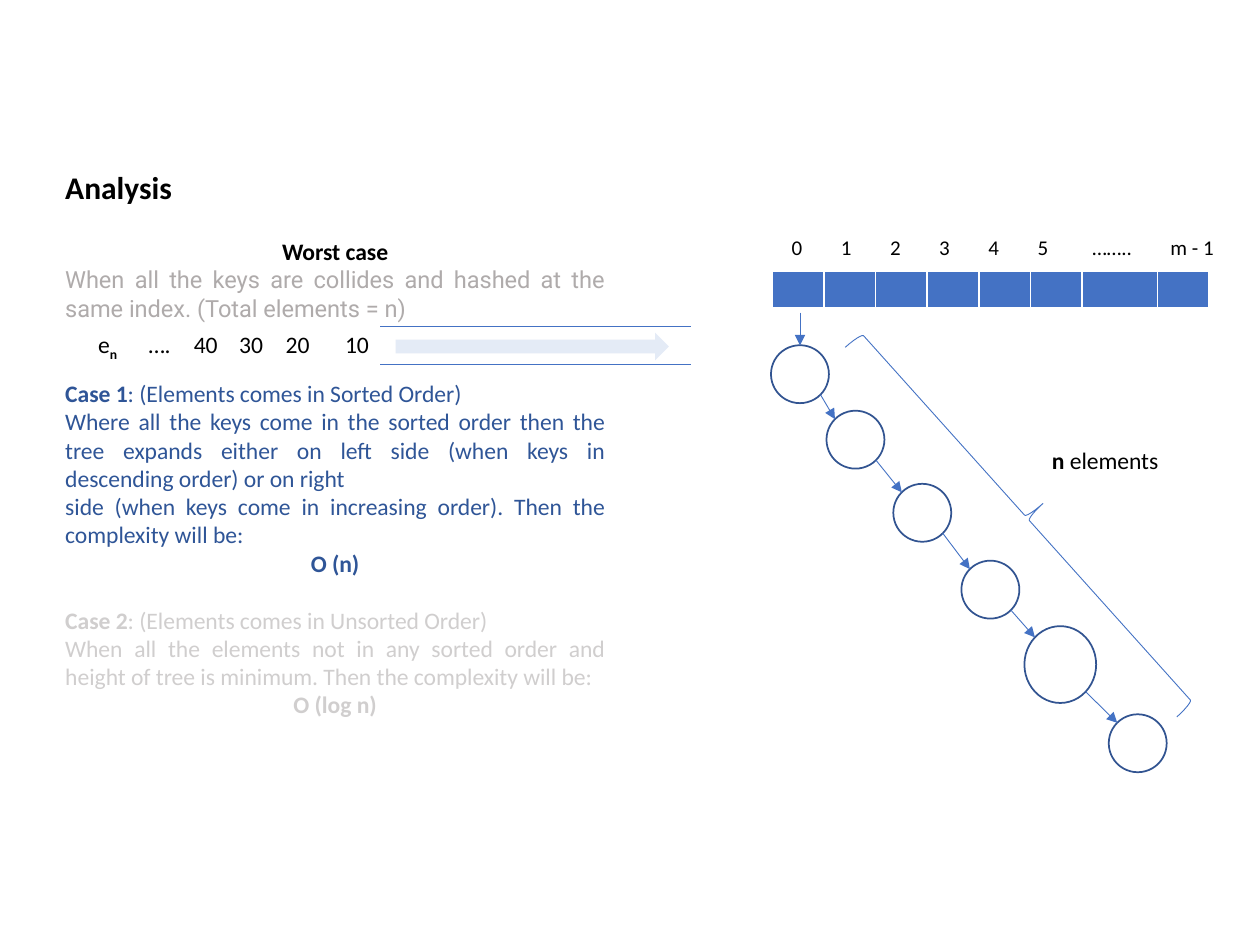
from dataclasses import dataclass
from math import sqrt
from typing import NamedTuple

from lxml import etree
from pptx import Presentation
from pptx.dml import color
from pptx.enum import shapes, text
from pptx.oxml import ns
from pptx.util import Pt

BLUE, OUTLINE, WHITE, BLACK = "4472C4", "325491", "FFFFFF", "000000"
CASE_BLUE, FADED, GREY = "2F5597", "D0CECE", "AFABAB"
LEFT, CENTER, JUSTIFY = text.PP_ALIGN.LEFT, text.PP_ALIGN.CENTER, text.PP_ALIGN.JUSTIFY


class Span(NamedTuple):
    words: str
    bold: bool = False
    baseline: int = 0


@dataclass
class Para:
    spans: list[Span]
    align: text.PP_ALIGN = LEFT
    ink: str = BLACK
    size: float = 13.5
    font: str = "Calibri"
    before: float = 0


@dataclass
class Node:
    left: float
    top: float
    width: float = 33.1
    height: float = 33.1

    def diagonal(self, sign: int) -> tuple[float, float]:
        reach = (1 + sign / sqrt(2)) / 2
        return self.left + self.width * reach, self.top + self.height * reach


def rgb(code: str) -> color.RGBColor:
    return color.RGBColor.from_string(code)


def child(parent, tag: str, **attributes: str):
    return etree.SubElement(parent, ns.qn(tag), attributes)


def write(frame, paras: list[Para]) -> None:
    for index, item in enumerate(paras):
        para = frame.paragraphs[0] if index == 0 else frame.add_paragraph()
        para.alignment = item.align
        if item.before:
            para.space_before = Pt(item.before)
        for span in item.spans:
            run = para.add_run()
            run.text = span.words
            run.font.name, run.font.size = item.font, Pt(item.size)
            run.font.bold = span.bold
            run.font.color.rgb = rgb(item.ink)
            if span.baseline:
                run._r.get_or_add_rPr().set("baseline", str(span.baseline))


def add_text(page, left: float, top: float, width: float, height: float,
             paras: list[Para], wrap: bool = False) -> None:
    box = page.shapes.add_textbox(Pt(left), Pt(top), Pt(width), Pt(height))
    box.text_frame.word_wrap = wrap
    write(box.text_frame, paras)


def add_line(page, start: tuple[float, float], end: tuple[float, float], arrow: bool = False):
    line = page.shapes.add_connector(
        shapes.MSO_CONNECTOR.STRAIGHT, *(Pt(value) for value in (*start, *end)))
    line.line.color.rgb, line.line.width = rgb(BLUE), Pt(0.5)
    if arrow:
        child(line.line._get_or_add_ln(), "a:tailEnd", type="triangle")
    child(line._element.spPr, "a:effectLst")
    return line


def add_shape(page, kind: shapes.MSO_SHAPE, left: float, top: float, width: float, height: float,
              fill: str | None = None, stroke: str | None = None, weight: float = 1):
    shape = page.shapes.add_shape(kind, Pt(left), Pt(top), Pt(width), Pt(height))
    shape.shadow.inherit = False
    if fill:
        shape.fill.solid()
        shape.fill.fore_color.rgb = rgb(fill)
    else:
        shape.fill.background()
    if stroke:
        shape.line.color.rgb, shape.line.width = rgb(stroke), Pt(weight)
    else:
        shape.line.fill.background()
    return shape


def add_border(cell, side: str, width: float) -> None:
    line = child(cell._tc.get_or_add_tcPr(), f"a:ln{side}", w=str(Pt(width)))
    child(child(line, "a:solidFill"), "a:srgbClr", val=WHITE)


def add_row(page, top: float, widths: list[float], labels: list[str], fill: str | None) -> None:
    frame = page.shapes.add_table(1, len(widths), Pt(441.4), Pt(top), Pt(sum(widths)), Pt(22))
    table = frame.table
    table.first_row = table.horz_banding = False
    for index, (width, label) in enumerate(zip(widths, labels)):
        table.columns[index].width = Pt(width)
        cell = table.cell(0, index)
        cell.margin_left = cell.margin_right = Pt(5 if label else 0)
        cell.margin_top = cell.margin_bottom = Pt(2.7 if label else 0)
        for side, weight in zip("LRTB", (1, 1, 1, 3)):
            add_border(cell, side, weight)
        if fill:
            cell.fill.solid()
            cell.fill.fore_color.rgb = rgb(fill)
        else:
            cell.fill.background()
        if label:
            write(cell.text_frame, [Para([Span(label)], CENTER, size=12)])


def add_chain(page) -> None:
    nodes = [Node(440.6, 197.3), Node(472.3, 234.7), Node(510.5, 276.5), Node(549.4, 320.4),
             Node(585.4, 357.8, 41, 43.9), Node(633.6, 408.2)]
    circles = [add_shape(page, shapes.MSO_SHAPE.OVAL, node.left, node.top, node.width,
                         node.height, WHITE, OUTLINE) for node in nodes]
    entry = add_line(page, (457.15, 178.6), (457.15, 197.3), arrow=True)
    entry.end_connect(circles[0], 0)
    for parent, successor in zip(nodes, nodes[1:]):
        add_line(page, parent.diagonal(1), successor.diagonal(-1), arrow=True)


def add_analysis(page) -> None:
    add_text(page, 30.2, 92.2, 281.5, 28.8, [Para([Span("Analysis", True)], size=18)], wrap=True)
    add_text(page, 30.2, 131.8, 322.6, 301.7, [
        Para([Span("Worst case", True)], CENTER),
        Para([Span("When all the keys are collides and hashed at the same index. "
                   "(Total elements = n)")], JUSTIFY, GREY, font="Roboto"),
        Para([Span("Case 1", True), Span(": (Elements comes in Sorted Order)")],
             JUSTIFY, CASE_BLUE, before=32.5),
        Para([Span("Where all the keys come in the sorted order then the tree expands either "
                   "on left side (when keys in descending order) or on right")],
             JUSTIFY, CASE_BLUE),
        Para([Span("side (when keys come in increasing order). Then the complexity will be:")],
             JUSTIFY, CASE_BLUE),
        Para([Span("O (n)", True)], CENTER, CASE_BLUE),
        Para([Span("Case 2", True), Span(": (Elements comes in Unsorted Order)")],
             JUSTIFY, FADED, before=16.2),
        Para([Span("When all the elements not in any sorted order and height of tree is "
                   "minimum. Then the complexity will be:")], JUSTIFY, FADED),
        Para([Span("O (log n)", True)], CENTER, FADED),
    ], wrap=True)


def add_queue(page) -> None:
    for height in (186.5, 208.1):
        add_line(page, (217.4, height), (394.6, height))
    arrow = add_shape(page, shapes.MSO_SHAPE.RIGHT_ARROW, 226.1, 190.1, 156.2, 15.8, BLUE)
    tint = arrow._element.spPr.find(f"{ns.qn('a:solidFill')}/{ns.qn('a:srgbClr')}")
    child(tint, "a:alpha", val="14000")
    keys = {49: [Span("e"), Span("n", True, -25000)], 77.8: [Span("….")], 103.7: [Span("40")],
            129.6: [Span("30")], 156.2: [Span("20")], 190.1: [Span("10")]}
    for left, spans in keys.items():
        add_text(page, left, 185, 28.8, 23.8, [Para(spans)])


def main() -> None:
    deck = Presentation()
    deck.slide_width, deck.slide_height = Pt(720), Pt(540)
    page = deck.slides.add_slide(deck.slide_layouts[6])
    add_chain(page)
    add_analysis(page)
    add_row(page, 154.8, [29.5] * 6 + [43.2, 29.5], [""] * 8, BLUE)
    add_row(page, 131.8, [28.1] * 6 + [51.1, 40.3],
            [str(index) for index in range(6)] + ["……..", "m - 1"], None)
    add_queue(page)
    brace = add_shape(page, shapes.MSO_SHAPE.LEFT_BRACE, 574.6, 154.1, 24.5, 283.7,
                      stroke=BLUE, weight=0.5)
    brace.rotation = 318.1
    brace._element.spPr.find(ns.qn("a:xfrm")).set("flipH", "1")
    add_text(page, 594, 251.3, 79.9, 23.8, [Para([Span("n", True), Span(" elements")])])
    deck.save("out.pptx")


if __name__ == "__main__":
    main()
